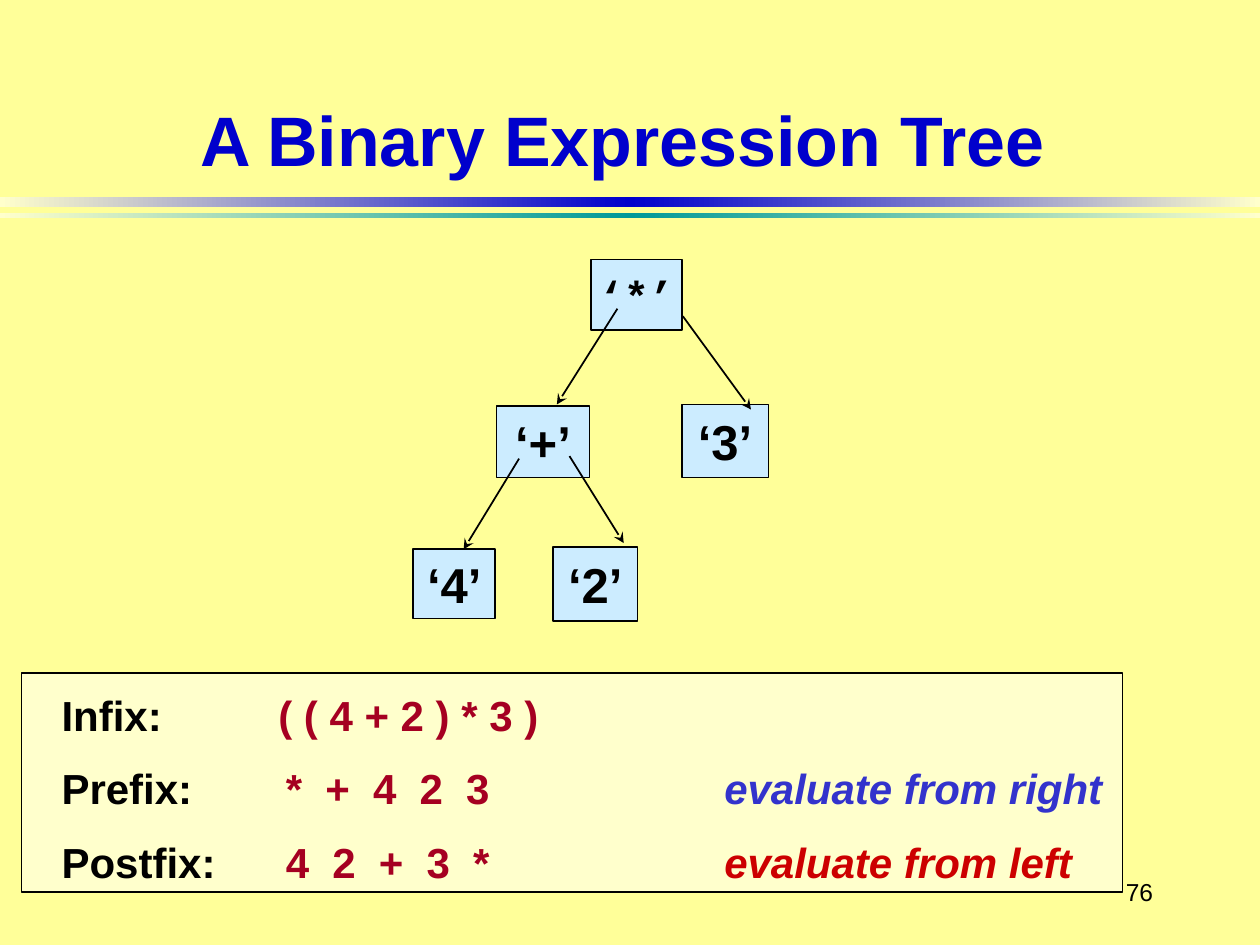
from copy import deepcopy

from lxml.etree import SubElement
from pptx import Presentation
from pptx.dml.color import RGBColor
from pptx.enum.shapes import MSO_CONNECTOR as Connector, MSO_SHAPE as Shape
from pptx.enum.text import MSO_ANCHOR as Anchor, PP_ALIGN as Align
from pptx.oxml.ns import qn
from pptx.util import Inches, Pt


def color(value):
    return RGBColor.from_string(value)


def add_run(paragraph, text, size, ink="000000", bold=True, italic=False, face="Arial"):
    run = paragraph.add_run()
    run.text = text
    font = run.font
    font.name, font.size, font.bold, font.italic = face, Pt(size), bold, italic
    font.color.rgb = color(ink)
    return run


prs = Presentation()
prs.slide_width, prs.slide_height = Inches(10), Inches(7.5)
slide = prs.slides.add_slide(prs.slide_layouts[6])
slide.background.fill.solid()
slide.background.fill.fore_color.rgb = color("FFFF99")
shapes = slide.shapes

# Two fading bars under the title
for top, height, middle in [(1.56, 0.08, "0000CC"), (1.69, 0.04, "009999")]:
    bar = shapes.add_shape(Shape.RECTANGLE, 0, Inches(top), Inches(10), Inches(height))
    bar.shadow.inherit = False
    bar.line.fill.background()
    bar.fill.gradient()
    bar.fill.gradient_angle = 0
    for stop, tone in zip(bar.fill.gradient_stops, ["FFFFCC", middle]):
        stop.color.rgb = color(tone)
    stop_list = bar._element.spPr.find(qn("a:gradFill")).find(qn("a:gsLst"))
    stop_list.append(deepcopy(stop_list[0]))
    for stop, position in zip(stop_list, [0, 50000, 100000]):
        stop.set("pos", str(position))

# Page number
page_number = shapes.add_textbox(Inches(8.58), Inches(6.83), Inches(0.67), Inches(0.5))
page_number.text_frame.word_wrap = True
page_number.text_frame.vertical_anchor = Anchor.MIDDLE
page_line = page_number.text_frame.paragraphs[0]
page_line.alignment = Align.RIGHT
add_run(page_line, "76", 14, bold=False)

# Title
title = shapes.add_textbox(Inches(0.65), Inches(0.23), Inches(8.58), Inches(1.25))
title.text_frame.word_wrap = True
title.text_frame.vertical_anchor = Anchor.BOTTOM
title_line = title.text_frame.paragraphs[0]
title_line.alignment = Align.CENTER
add_run(title_line, "A Binary Expression Tree", 40, "0000CC")

# Panel behind the three notations
panel = shapes.add_shape(Shape.RECTANGLE, Inches(0.17), Inches(5.34), Inches(8.74), Inches(1.74))
panel.shadow.inherit = False
panel.fill.solid()
panel.fill.fore_color.rgb = color("FFFFCC")
panel.line.color.rgb = color("000000")
panel.line.width = Pt(1)

# Tree nodes
nodes = [
    ("‘*’", 4.69, 2.06, 0.72, 0.56, 24, "Courier New"),
    ("‘+’", 3.94, 3.22, 0.74, 0.57, 28, "Arial"),
    ("‘3’", 5.41, 3.21, 0.69, 0.58, 28, "Arial"),
    ("‘4’", 3.28, 4.36, 0.65, 0.55, 28, "Arial"),
    ("‘2’", 4.39, 4.34, 0.67, 0.59, 28, "Arial"),
]
for label, left, top, width, height, size, face in nodes:
    node = shapes.add_shape(Shape.RECTANGLE, Inches(left), Inches(top), Inches(width), Inches(height))
    node.shadow.inherit = False
    node.fill.solid()
    node.fill.fore_color.rgb = color("CCECFF")
    node.line.color.rgb = color("000000")
    node.line.width = Pt(1)
    frame = node.text_frame
    frame.margin_left = frame.margin_right = frame.margin_top = frame.margin_bottom = 0
    frame.word_wrap = False
    frame.vertical_anchor = Anchor.MIDDLE
    frame.paragraphs[0].alignment = Align.CENTER
    add_run(frame.paragraphs[0], label, size, face=face)

# Branches, from parent to child
branches = [
    (5.42, 2.51, 5.96, 3.25),
    (4.52, 3.62, 4.95, 4.31),
    (4.12, 3.64, 3.68, 4.36),
    (4.90, 2.45, 4.42, 3.21),
]
for ends in branches:
    branch = shapes.add_connector(Connector.STRAIGHT, *map(Inches, ends))
    branch.line.color.rgb = color("000000")
    branch.line.width = Pt(1)
    SubElement(branch.line._get_or_add_ln(), qn("a:tailEnd"), type="stealth")
    SubElement(branch._element.spPr, qn("a:effectLst"))

# Notations: name, expression and evaluation order on tab stops
notations = [
    ("Infix:", "( ( 4 + 2 ) * 3 )", 1.72, 0, "", ""),
    ("Prefix:", "* + 4 2 3", 1.78, 3.33, "evaluate from right", "3333CC"),
    ("Postfix:", "4 2 + 3 *", 1.78, 3.33, "evaluate from left", "CC0000"),
]
listing = shapes.add_textbox(Inches(0.39), Inches(5.42), Inches(8.52), Inches(1.64))
listing.text_frame.word_wrap = True
for index, (name, expression, indent, spacing, order, ink) in enumerate(notations):
    row = listing.text_frame.paragraphs[0] if index == 0 else listing.text_frame.add_paragraph()
    tabs = SubElement(row._p.get_or_add_pPr(), qn("a:tabLst"))
    for position in [indent, 5.26]:
        SubElement(tabs, qn("a:tab"), pos=str(Inches(position)), algn="l")
    if index:
        row.space_before = Pt(13.3)
    add_run(row, name + "\t", 24)
    formula = add_run(row, expression, 24, "A50021")
    formula.font._element.set("spc", str(round(spacing * 100)))
    if order:
        add_run(row, "\t" + order, 24, ink, italic=True)

prs.save("out.pptx")
